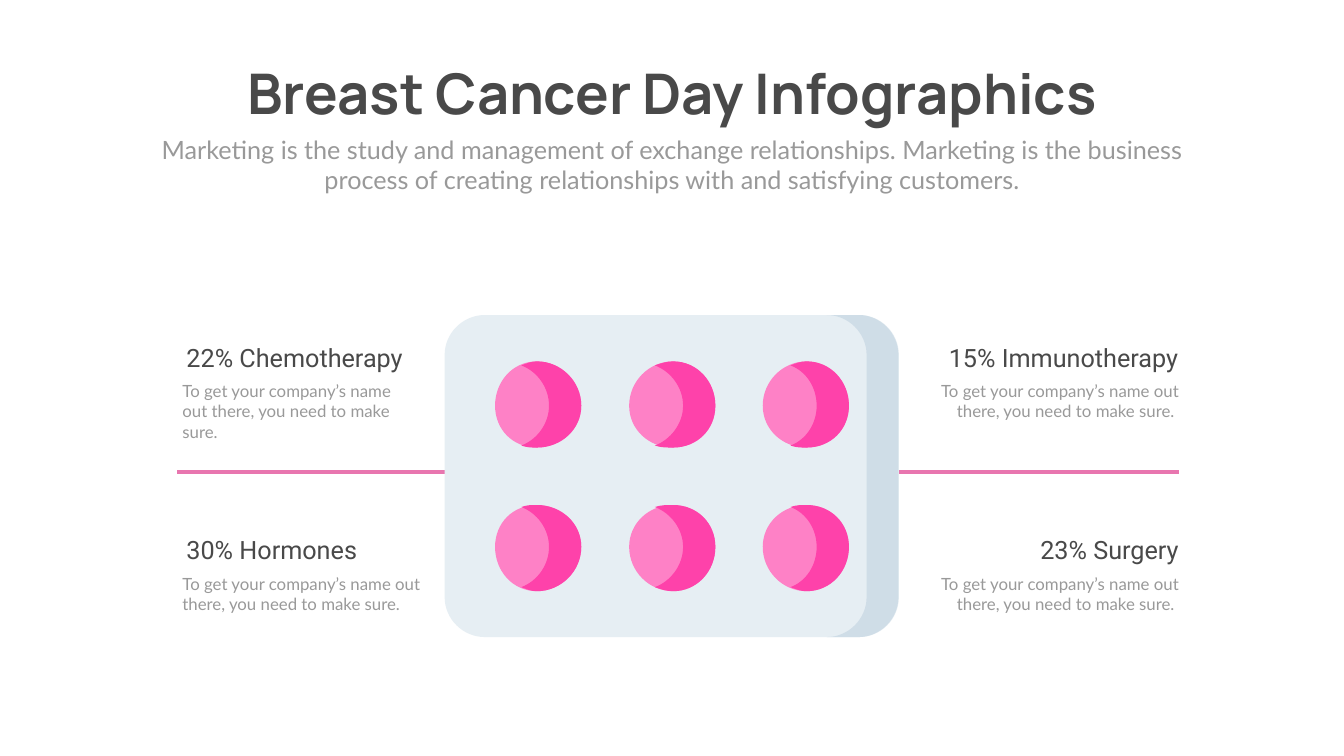
"""Build the Breast Cancer Day slide: a pill blister pack with four labelled treatments."""
from itertools import product

from lxml.etree import SubElement
from pptx import Presentation
from pptx.dml.color import RGBColor
from pptx.enum.shapes import MSO_CONNECTOR
from pptx.enum.text import MSO_ANCHOR, MSO_AUTO_SIZE, PP_ALIGN
from pptx.oxml.ns import qn
from pptx.util import Inches, Pt

DARK = RGBColor(0x49, 0x49, 0x49)
GREY = RGBColor(0x99, 0x99, 0x99)
LINE_PINK = RGBColor(0xE8, 0x76, 0xAF)
PILL_LIGHT = RGBColor(0xFE, 0x81, 0xC6)
PILL_DARK = RGBColor(0xFE, 0x42, 0xAA)
PACK_FRONT = RGBColor(0xE6, 0xEE, 0xF3)
PACK_SIDE = RGBColor(0xCF, 0xDD, 0xE7)

TITLE = {"name": "Manrope", "size": Pt(80), "bold": True}
SUBTITLE = {"name": "Lato", "size": Pt(36), "bold": False}
HEADING = {"name": "Roboto", "size": Pt(36), "bold": False}
BODY = {"name": "Lato", "size": Pt(24), "bold": False}


def write_text(box, area, text, style, color, align):
    box.left, box.top, box.width, box.height = [Inches(v) for v in area]
    frame = box.text_frame
    frame.word_wrap = True
    frame.auto_size = MSO_AUTO_SIZE.SHAPE_TO_FIT_TEXT
    frame.vertical_anchor = MSO_ANCHOR.TOP
    para = frame.paragraphs[0]
    para.alignment = align
    para.space_before = Pt(0)
    span = para.add_run()
    span.text = text
    for name, value in style.items():
        setattr(span.font, name, value)
    span.font.color.rgb = color


def draw_outline(page, segments, color):
    anchors = [(Inches(x), Inches(y)) for x, y in (segment[-1] for segment in segments)]
    builder = page.shapes.build_freeform(*anchors[-1])
    builder.add_line_segments(anchors, close=True)
    shape = builder.convert_to_shape()
    shape.shadow.inherit = False
    shape.fill.solid()
    shape.fill.fore_color.rgb = color
    shape.line.fill.background()
    edges = list(shape._element.iter(qn("a:lnTo")))
    for edge, segment in zip(edges, segments):
        if len(segment) == 3:
            edge.tag = qn("a:cubicBezTo")
            edge.clear()
            for x, y in segment:
                SubElement(edge, qn("a:pt"), x=str(Inches(x) - shape.left),
                           y=str(Inches(y) - shape.top))


deck = Presentation()
deck.slide_width, deck.slide_height = Inches(26.66), Inches(15)
page = deck.slides.add_slide(deck.slide_layouts[0])

divider = page.shapes.add_connector(
    MSO_CONNECTOR.STRAIGHT, Inches(3.52), Inches(9.37), Inches(23.39), Inches(9.37))
divider.line.color.rgb = LINE_PINK
divider.line.width = Pt(6)
SubElement(divider._element.spPr, qn("a:effectLst"))

write_text(page.shapes.title, (4.06, 1.12, 18.55, 1.45),
           "Breast Cancer Day Infographics", TITLE, DARK, PP_ALIGN.CENTER)
write_text(page.placeholders[1], (2.92, 2.61, 20.82, 1.31),
           "Marketing is the study and management of exchange relationships. "
           "Marketing is the business process of creating relationships with "
           "and satisfying customers.", SUBTITLE, GREY, PP_ALIGN.CENTER)

draw_outline(page, [
    [(9.62, 12.64)],
    [(9.18, 12.64), (8.82, 12.28), (8.82, 11.85)],
    [(8.82, 7.04)],
    [(8.82, 6.61), (9.18, 6.25), (9.62, 6.25)],
    [(17.04, 6.25)],
    [(17.48, 6.25), (17.83, 6.61), (17.83, 7.04)],
    [(17.83, 11.85)],
    [(17.83, 12.28), (17.48, 12.64), (17.04, 12.64)],
], PACK_FRONT)
draw_outline(page, [
    [(16.4, 6.25)],
    [(16.83, 6.25), (17.19, 6.61), (17.19, 7.04)],
    [(17.19, 11.85)],
    [(17.19, 12.28), (16.83, 12.64), (16.4, 12.64)],
    [(17.03, 12.64)],
    [(17.46, 12.64), (17.82, 12.28), (17.82, 11.85)],
    [(17.82, 7.04)],
    [(17.82, 6.61), (17.46, 6.25), (17.03, 6.25)],
], PACK_SIDE)

PILL_SIZE = 1.71
ROWS = [(7.17, False), (10.02, True)]
COLUMNS = [(9.82, 0.83, 0.52), (12.48, 0.87, 0.51), (15.13, 0.87, 0.55)]
for (top, mirrored), (left, middle, tip) in product(ROWS, COLUMNS):
    right_half = [
        [(middle + 0.48, 1.71), (1.71, 1.35), (1.71, 0.88)],
        [(1.71, 0.4), (middle + 0.48, 0), (middle, 0)],
    ]
    left_half = [
        [(middle - 0.48, 0), (0, 0.4), (0, 0.88)],
        [(0, 1.35), (middle - 0.48, 1.71), (middle, 1.71)],
    ]
    inner_edge = [
        [(middle - 0.12, 0), (tip + 0.11, 0.04), (tip, 0.08)],
        [(tip + 0.32, 0.2), (1.07, 0.52), (1.07, 0.88)],
        [(1.07, 1.23), (tip + 0.32, 1.55), (tip, 1.67)],
        [(tip + 0.11, 1.71), (middle - 0.12, 1.71), (middle, 1.71)],
    ]
    for outline, color in [(left_half + right_half, PILL_LIGHT),
                           (inner_edge + right_half, PILL_DARK)]:
        placed = [[(left + x, top + (PILL_SIZE - y if mirrored else y)) for x, y in segment]
                  for segment in outline]
        draw_outline(page, placed, color)

ADVICE = "To get your company’s name out there, you need to make sure."
TREATMENTS = [
    ("22% Chemotherapy", 6.74, 3.6, 4.75, 3.52, 4.75, 1.31, ADVICE, PP_ALIGN.LEFT),
    ("30% Hormones", 10.56, 3.6, 3.94, 3.52, 5.01, 0.91, ADVICE, PP_ALIGN.LEFT),
    ("15% Immunotherapy", 6.74, 18.35, 5.12, 18.54, 4.94, 0.91, ADVICE + " ", PP_ALIGN.RIGHT),
    ("23% Surgery", 10.56, 17.84, 5.64, 18.39, 5.09, 0.91, ADVICE + " ", PP_ALIGN.RIGHT),
]
for heading, top, head_left, head_width, left, width, height, advice, align in TREATMENTS:
    for area, text, style, color in [
        ((left, top + 0.77, width, height), advice, BODY, GREY),
        ((head_left, top, head_width, 0.71), heading, HEADING, DARK),
    ]:
        box = page.shapes.add_textbox(0, 0, 0, 0)
        write_text(box, area, text, style, color, align)

deck.save("out.pptx")
